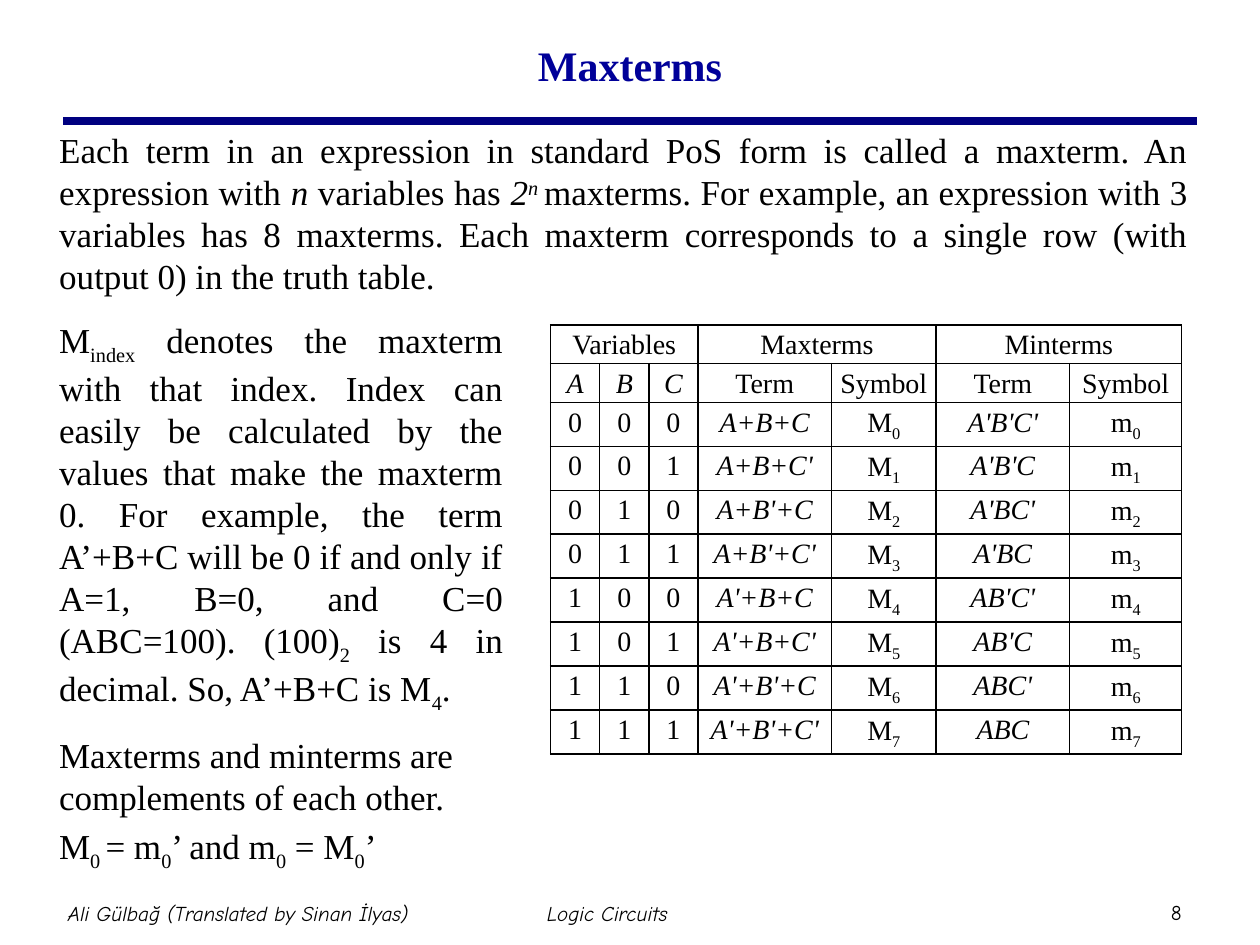
import pptx
import pptx.util
import pptx.dml.color
import pptx.enum.text
import pptx.oxml.ns
from lxml import etree

Inches, Pt = pptx.util.Inches, pptx.util.Pt
align = pptx.enum.text.PP_ALIGN
anchor = pptx.enum.text.MSO_ANCHOR
qn = pptx.oxml.ns.qn
SERIF, HAND = "Times New Roman", "Comic Neue"
BASE = {"sub": "-25000", "sup": "30000"}


def color(code):
    return pptx.dml.color.RGBColor.from_string(code)


def write(para, parts, size, face=SERIF, side=None, tone="000000"):
    """Fill a paragraph with (text, style words) parts."""
    para.alignment = side
    para.font.size, para.font.name = Pt(size), face
    para.font.color.rgb = color(tone)
    for text, style in parts:
        run = para.add_run()
        run.text = text
        # Runs carry the size and face too, so sub- and superscripts match
        run.font.size, run.font.name = Pt(size), face
        run.font.color.rgb = color(tone)
        for word in style.split():
            if word == "i":
                run.font.italic = True
            elif word == "b":
                run.font.bold = True
            else:
                run.font._element.set("baseline", BASE[word])


prs = pptx.Presentation()
prs.slide_width, prs.slide_height = Inches(10), Inches(7.5)
slide = prs.slides.add_slide(prs.slide_layouts[1])
shapes = slide.shapes

# Rule under the title
rule = shapes.add_connector(1, Inches(0.5), Inches(0.96), Inches(9.5), Inches(0.96))
rule.line.color.rgb = color("000080")
rule.line.width = Pt(4.5)
etree.SubElement(rule._element.spPr, qn("a:effectLst"))

# Title
title = shapes.title
title.left, title.top = Inches(0.75), Inches(0.08)
title.width, title.height = Inches(8.5), Inches(0.86)
title.text_frame.auto_size = pptx.enum.text.MSO_AUTO_SIZE.NONE
title.text_frame.vertical_anchor = anchor.MIDDLE
write(title.text_frame.paragraphs[0], [("Maxterms", "b")], 24,
      side=align.CENTER, tone="000099")

# Introduction
body = slide.placeholders[1]
body.left, body.top = Inches(0.37), Inches(0.97)
body.width, body.height = Inches(9.16), Inches(1.54)
body.text_frame.auto_size = pptx.enum.text.MSO_AUTO_SIZE.NONE
intro = body.text_frame.paragraphs[0]
props = intro._p.get_or_add_pPr()
props.set("marL", "0")
props.set("indent", "0")
etree.SubElement(props, qn("a:buNone"))
intro.space_before = Pt(0)
write(intro, [
    ("Each term in an expression in standard PoS form is called a maxterm. "
     "An expression with ", ""),
    ("n", "i"), (" variables has ", ""), ("2", "i"), ("n ", "i sup"),
    ("maxterms. For example, an expression with 3 variables has 8 maxterms. "
     "Each maxterm corresponds to a single row (with output 0) in the truth table.", ""),
], 20, side=align.JUSTIFY)

# Explanation on the left: alignment, space before, parts
notes = [
    (align.JUSTIFY, 0, [
        ("M", ""), ("index", "sub"),
        (" denotes the maxterm with that index. Index can easily be calculated by "
         "the values that make the maxterm 0. For example, the term A’+B+C will be 0 "
         "if and only if A=1, B=0, and C=0 (ABC=100). (100)", ""),
        ("2", "sub"), (" is 4 in decimal. So, A’+B+C is M", ""), ("4", "sub"), (".", "")]),
    (align.LEFT, 11, [("Maxterms and minterms are complements of each other.", "")]),
    (align.LEFT, 4, [
        ("M", ""), ("0 ", "sub"), ("= m", ""), ("0", "sub"), ("’ and m", ""),
        ("0", "sub"), (" = M", ""), ("0", "sub"), ("’", "")]),
]
frame = shapes.add_textbox(Inches(0.37), Inches(2.48), Inches(3.72), Inches(4.41)).text_frame
frame.word_wrap = True
for n, (side, gap, parts) in enumerate(notes):
    para = frame.add_paragraph() if n else frame.paragraphs[0]
    para.space_before = Pt(gap)
    write(para, parts, 20, side=side)

# Table rows: two headings, then one row for each value of A, B and C
rows = [
    [[(t, "")] for t in ("Variables", "", "", "Maxterms", "", "Minterms", "")],
    [[(t, "i")] for t in "ABC"] + [[(t, "")] for t in ("Term", "Symbol") * 2],
]
for n in range(8):
    bits = f"{n:03b}"
    maxi = "+".join(v + "'" * (b == "1") for v, b in zip("ABC", bits))
    mini = "".join(v + "'" * (b == "0") for v, b in zip("ABC", bits))
    rows.append([[(b, "")] for b in bits] + [
        [(maxi, "i")], [("M", ""), (str(n), "sub")],
        [(mini, "i")], [("m", ""), (str(n), "sub")]])

widths = [0.39, 0.39, 0.39, 1.06, 0.83, 1.06, 0.89]
table = shapes.add_table(len(rows), len(widths), Inches(4.37), Inches(2.58),
                         Inches(sum(widths)), Inches(0.25 * len(rows))).table
table.first_row = table.horz_banding = False
for col, width in zip(table.columns, widths):
    col.width = Inches(width)
for first, last in ((0, 2), (3, 4), (5, 6)):
    table.cell(0, first).merge(table.cell(0, last))

for r, row in enumerate(rows):
    table.rows[r].height = Inches(0.25)
    for c, parts in enumerate(row):
        cell = table.cell(r, c)
        cell.margin_left = cell.margin_right = Inches(0.05)
        cell.margin_top = cell.margin_bottom = 0
        cell.fill.background()
        para = cell.text_frame.paragraphs[0]
        para.line_spacing = 1.15
        write(para, [p for p in parts if p[0]], 16, side=align.CENTER)
        # Thin black border on every side
        for k, edge in enumerate(("lnL", "lnR", "lnT", "lnB")):
            line = etree.Element(qn("a:" + edge), w=str(Pt(1)))
            paint = etree.SubElement(line, qn("a:solidFill"))
            etree.SubElement(paint, qn("a:srgbClr"), val="000000")
            cell._tc.tcPr.insert(k, line)

# Footer: left, top, width, height, text, style
for x, y, w, h, text, style in (
        (0.1, 7, 3.58, 0.5, "Ali Gülbağ (Translated by Sinan İlyas)", "i"),
        (3.03, 7, 3.58, 0.5, "Logic Circuits", "i"),
        (9.1, 7.09, 0.47, 0.3, "8", "")):
    frame = shapes.add_textbox(Inches(x), Inches(y), Inches(w), Inches(h)).text_frame
    frame.word_wrap = True
    frame.vertical_anchor = anchor.MIDDLE
    frame.margin_left = frame.margin_right = Inches(0.05)
    write(frame.paragraphs[0], [(text, style)], 12, HAND, align.CENTER)

prs.save("out.pptx")
